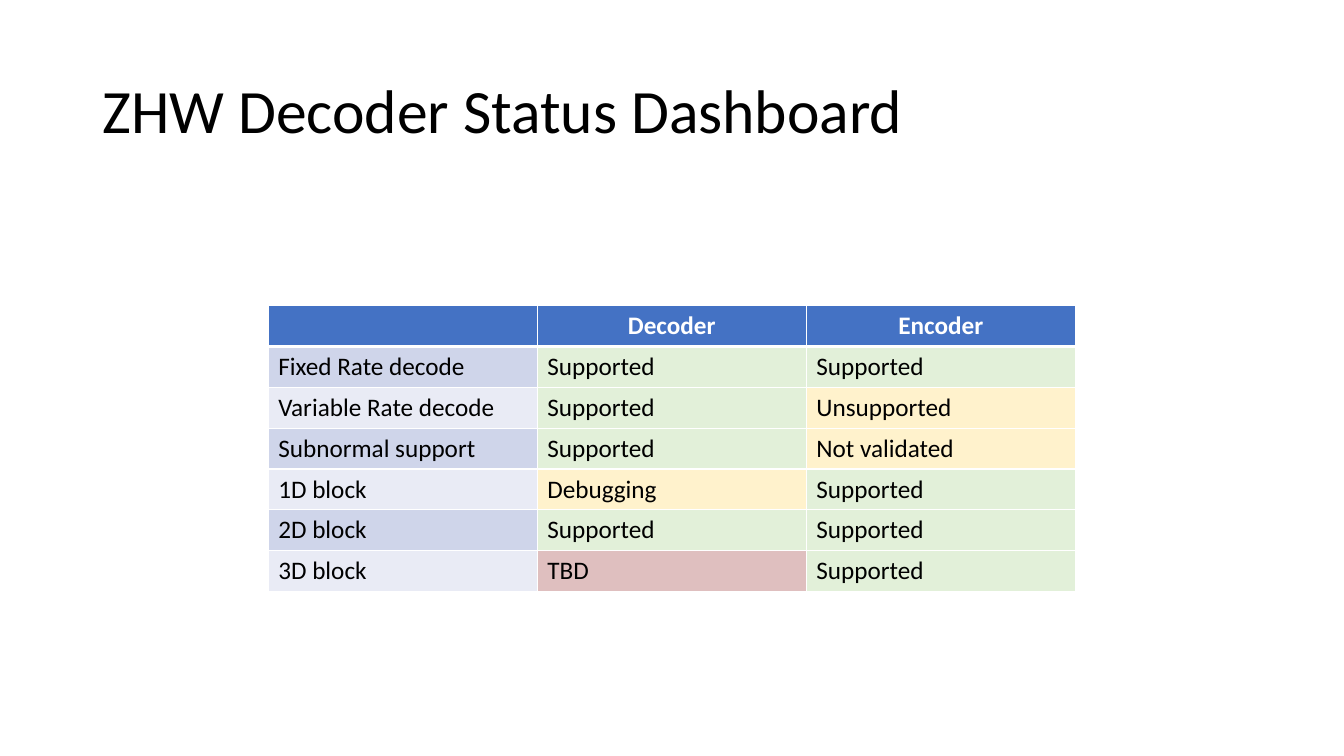
from lxml.etree import SubElement
from pptx import Presentation
from pptx.dml.color import RGBColor
from pptx.enum.text import MSO_ANCHOR as Anchor, PP_ALIGN as Align
from pptx.oxml.ns import qn
from pptx.util import Pt

FONT = "Calibri"
WHITE, BLACK, HEADER_BLUE = "FFFFFF", "000000", "4472C4"
FEATURE_BANDS = ("CFD5EA", "E9EBF5")
GREEN, YELLOW, RED = "E2F0D9", "FFF2CC", "DFBFBF"
STATUS_FILLS = {
    "Supported": GREEN,
    "Unsupported": YELLOW,
    "Not validated": YELLOW,
    "Debugging": YELLOW,
    "TBD": RED,
}
HEADINGS = ("", "Decoder", "Encoder")
FEATURES = (
    ("Fixed Rate decode", "Supported", "Supported"),
    ("Variable Rate decode", "Supported", "Unsupported"),
    ("Subnormal support", "Supported", "Not validated"),
    ("1D block", "Debugging", "Supported"),
    ("2D block", "Supported", "Supported"),
    ("3D block", "TBD", "Supported"),
)
COLUMN_WIDTH, ROW_HEIGHT = 192.2, 29.2


def color(hex_code):
    return RGBColor.from_string(hex_code)


def add_run(paragraph, text, size, hex_code, bold=False):
    run = paragraph.add_run()
    run.text = text
    run.font.name = FONT
    run.font.size = Pt(size)
    run.font.bold = bold
    run.font.color.rgb = color(hex_code)


def set_borders(cell, top, bottom):
    properties = cell._tc.get_or_add_tcPr()
    for side, width in (("L", 1), ("R", 1), ("T", top), ("B", bottom)):
        line = SubElement(properties, qn(f"a:ln{side}"), w=str(Pt(width)))
        fill = SubElement(line, qn("a:solidFill"))
        SubElement(fill, qn("a:srgbClr"), val=WHITE)


def fill_cell(cell, text, fill, header=False, top=1):
    # Borders must come before the fill in the cell properties
    set_borders(cell, top, 3 if header else 1)
    cell.fill.solid()
    cell.fill.fore_color.rgb = color(fill)
    paragraph = cell.text_frame.paragraphs[0]
    paragraph.alignment = Align.CENTER if header else Align.LEFT
    if text:
        add_run(paragraph, text, 18, WHITE if header else BLACK, header)


def set_title(slide, text):
    title = slide.shapes.title
    title.left, title.top = Pt(66), Pt(28.75)
    title.width, title.height = Pt(828), Pt(104.4)
    frame = title.text_frame
    frame.word_wrap = True
    frame.vertical_anchor = Anchor.MIDDLE
    paragraph = frame.paragraphs[0]
    paragraph.alignment = Align.LEFT
    paragraph.line_spacing = 0.9
    add_run(paragraph, text, 44, BLACK)


def add_status_table(slide, left, top):
    row_count, column_count = len(FEATURES) + 1, len(HEADINGS)
    status_table = slide.shapes.add_table(
        row_count, column_count, Pt(left), Pt(top),
        Pt(COLUMN_WIDTH * column_count), Pt(ROW_HEIGHT * row_count)).table
    for column in status_table.columns:
        column.width = Pt(COLUMN_WIDTH)
    for row in status_table.rows:
        row.height = Pt(ROW_HEIGHT)

    # Header row
    for index, heading in enumerate(HEADINGS):
        fill_cell(status_table.cell(0, index), heading, HEADER_BLUE, header=True)

    # Feature rows: banded names, then statuses coloured by meaning
    for index, (feature, *statuses) in enumerate(FEATURES):
        top_border = 3 if index == 0 else 1
        row = index + 1
        fill_cell(status_table.cell(row, 0), feature,
                  FEATURE_BANDS[index % 2], top=top_border)
        for column, status in enumerate(statuses, start=1):
            fill_cell(status_table.cell(row, column), status,
                      STATUS_FILLS[status], top=top_border)


def main():
    deck = Presentation()
    deck.slide_width, deck.slide_height = Pt(960), Pt(540)
    slide = deck.slides.add_slide(deck.slide_layouts[5])
    set_title(slide, "ZHW Decoder Status Dashboard")
    add_status_table(slide, 191.6, 218.2)
    deck.save("out.pptx")


if __name__ == "__main__":
    main()
